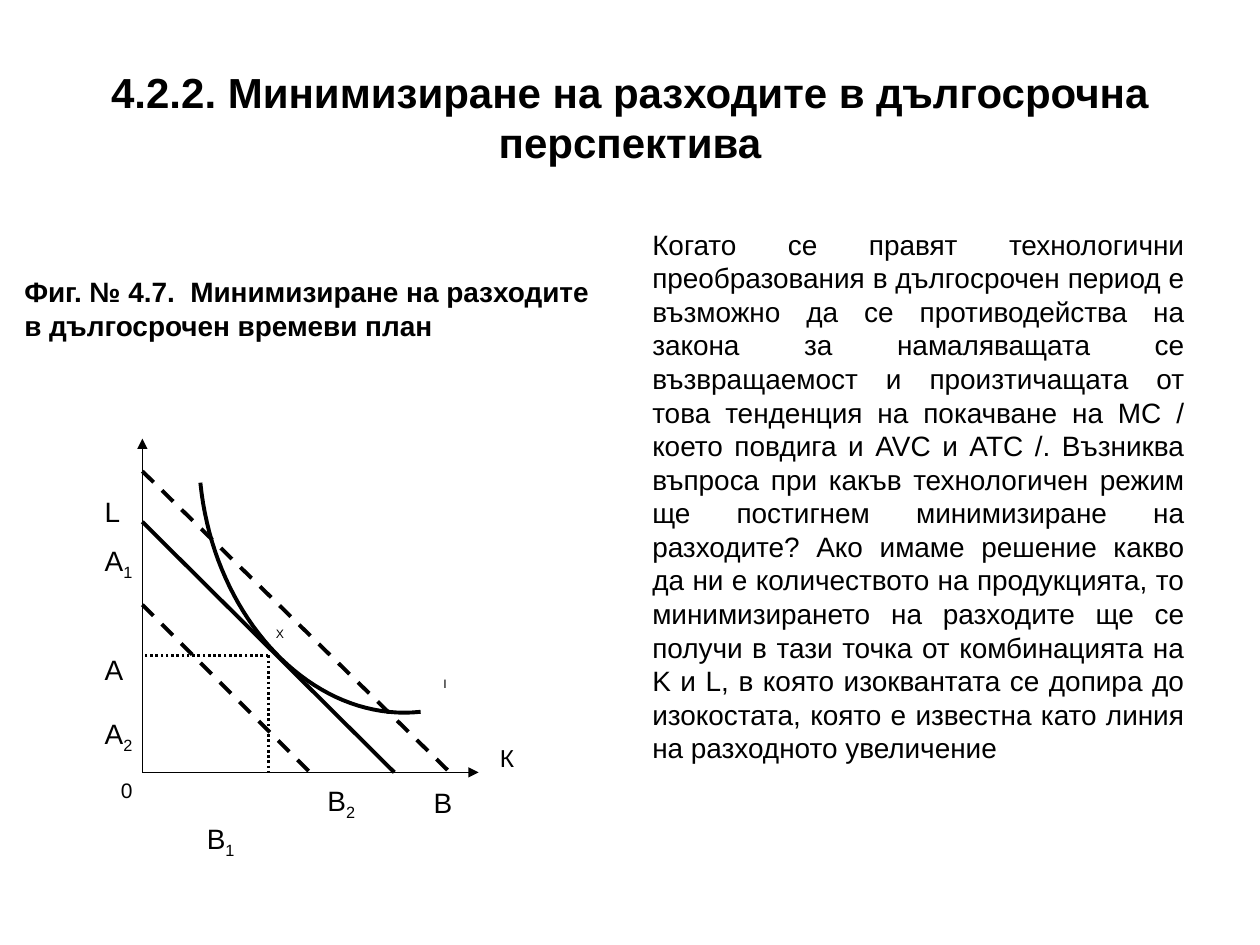
from lxml.etree import SubElement as Sub
from pptx import Presentation
from pptx.dml.color import RGBColor
from pptx.enum.dml import MSO_LINE as Dash
from pptx.enum.shapes import MSO_CONNECTOR as Link
from pptx.enum.text import MSO_ANCHOR as Anchor, PP_ALIGN as Align
from pptx.oxml.ns import qn
from pptx.util import Cm, Pt

BLACK = "000000"
ZERO = (2.87, 15.57)  # origin of the axes, cm
TOUCH = (5.41, 13.21)  # isoquant meets isocost

TITLE = "4.2.2. Минимизиране на разходите в дългосрочна перспектива"
CAPTION = "Фиг. № 4.7.  Минимизиране на разходите в дългосрочен времеви план"
BODY = (
    "Когато се правят технологични преобразования в дългосрочен период е "
    "възможно да се противодейства на закона за намаляващата се възвращаемост "
    "и произтичащата от това тенденция на покачване на МС / което повдига и "
    "AVC и ATC /. Възниква въпроса при какъв технологичен режим ще постигнем "
    "минимизиране на разходите? Ако имаме решение какво да ни е количеството "
    "на продукцията, то минимизирането на разходите ще се получи в тази точка "
    "от комбинацията на K и L, в която изоквантата се допира до изокостата, "
    "която е известна като линия на разходното увеличение"
)

# Text, subscript, left, middle, size
LABELS = [
    ("L", "", 2.11, 10.31, 16),
    ("А", "1", 2.11, 11.35, 16),
    ("А", "", 2.11, 13.49, 16),
    ("А", "2", 2.11, 14.83, 16),
    ("0", "", 2.44, 15.93, 12),
    ("В", "2", 6.6, 16.18, 16),
    ("B", "", 8.74, 16.18, 16),
    ("В", "1", 4.17, 16.94, 16),
    ("X", "", 5.56, 12.78, 7),
    ("I", "", 8.94, 13.79, 7),
    ("К", "", 10.08, 15.28, 14),
]


def color(code):
    return RGBColor.from_string(code)


def style(par, size, bold=False):
    for run in par.runs:
        run.font.name = "Arial"
        run.font.size = Pt(size)
        run.font.bold = bold
        run.font.color.rgb = color(BLACK)


def add_text(slide, text, box, size, bold=False, align=Align.LEFT, pad=(0.25, 0.13)):
    frame = slide.shapes.add_textbox(*map(Cm, box)).text_frame
    frame.word_wrap = True
    frame.margin_left = frame.margin_right = Cm(pad[0])
    frame.margin_top = frame.margin_bottom = Cm(pad[1])
    frame.text = text
    par = frame.paragraphs[0]
    par.alignment = align
    style(par, size, bold)
    return frame


def add_label(slide, text, sub, left, mid, size):
    high = 0.8
    box = (left, mid - high / 2, 1.1, high)
    frame = add_text(slide, text, box, size, pad=(0, 0))
    frame.vertical_anchor = Anchor.MIDDLE
    if sub:
        par = frame.paragraphs[0]
        run = par.add_run()
        run.text = sub
        style(par, size)
        run._r.get_or_add_rPr().set("baseline", "-25000")


def add_line(slide, start, end, width, dash=None, arrow=False):
    link = slide.shapes.add_connector(Link.STRAIGHT, *map(Cm, start + end))
    link.line.color.rgb = color(BLACK)
    link.line.width = Pt(width)
    if dash:
        link.line.dash_style = dash
    if arrow:
        Sub(link.line._get_or_add_ln(), qn("a:tailEnd"), type="triangle")
    Sub(link._element.spPr, qn("a:effectLst"))


def add_curve(slide, a, b, c, d, steps=40):
    """Draw a cubic curve from a to d, with b and c as its handles."""
    def spot(t):
        u = 1 - t
        return tuple(
            Cm(u**3 * p + 3 * u * u * t * q + 3 * u * t * t * r + t**3 * s)
            for p, q, r, s in zip(a, b, c, d)
        )

    dots = [spot(i / steps) for i in range(steps + 1)]
    pen = slide.shapes.build_freeform(*dots[0])
    pen.add_line_segments(dots[1:], close=False)
    curve = pen.convert_to_shape()
    curve.shadow.inherit = False
    curve.fill.background()
    curve.line.color.rgb = color(BLACK)
    curve.line.width = Pt(2.25)


def add_title(slide):
    title = slide.shapes.title
    title.left, title.top, title.width, title.height = map(Cm, (1.27, 0.76, 22.86, 3.18))
    title.text_frame.text = TITLE
    title.text_frame.vertical_anchor = Anchor.MIDDLE
    par = title.text_frame.paragraphs[0]
    par.alignment = Align.CENTER
    style(par, 24, True)


def add_graph(slide):
    x, y = ZERO
    # Axes
    for end in ((x, 8.84), (9.65, y)):
        add_line(slide, ZERO, end, 0.75, arrow=True)
    # Isoquant
    add_curve(slide, (4.04, 9.73), (4.32, 12.5), (6.32, 14.58), (8.48, 14.35))
    # Isocosts
    for top, right, dash in (
        (10.52, 7.95, None), (12.19, 6.25, Dash.DASH), (9.5, 9.07, Dash.DASH)
    ):
        add_line(slide, (x, top), (right, y), 2.25, dash)
    # Guides from the touching point to both axes
    for end in ((TOUCH[0], y), (x, TOUCH[1])):
        add_line(slide, TOUCH, end, 1.5, Dash.ROUND_DOT)
    for label in LABELS:
        add_label(slide, *label)


def main():
    deck = Presentation()
    deck.slide_width, deck.slide_height = Cm(25.4), Cm(19.05)
    slide = deck.slides.add_slide(deck.slide_layouts[5])
    add_title(slide)
    add_text(slide, CAPTION, (0.33, 5.46, 11.94, 2.18), 16, True, pad=(0.16, 0.08))
    add_graph(slide)
    add_text(slide, BODY, (12.9, 4.45, 11.23, 12.57), 16, align=Align.JUSTIFY)
    deck.save("out.pptx")


if __name__ == "__main__":
    main()
